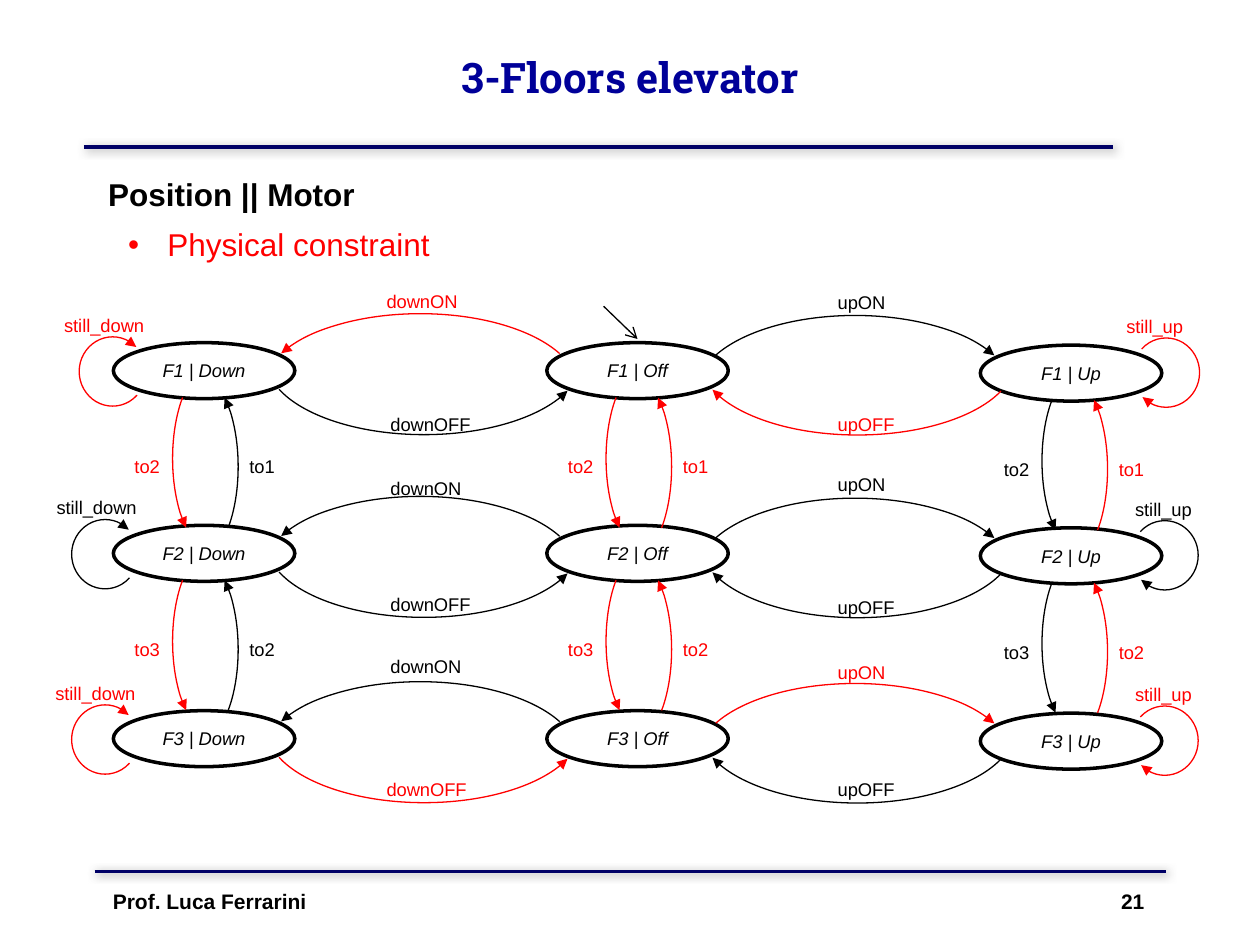
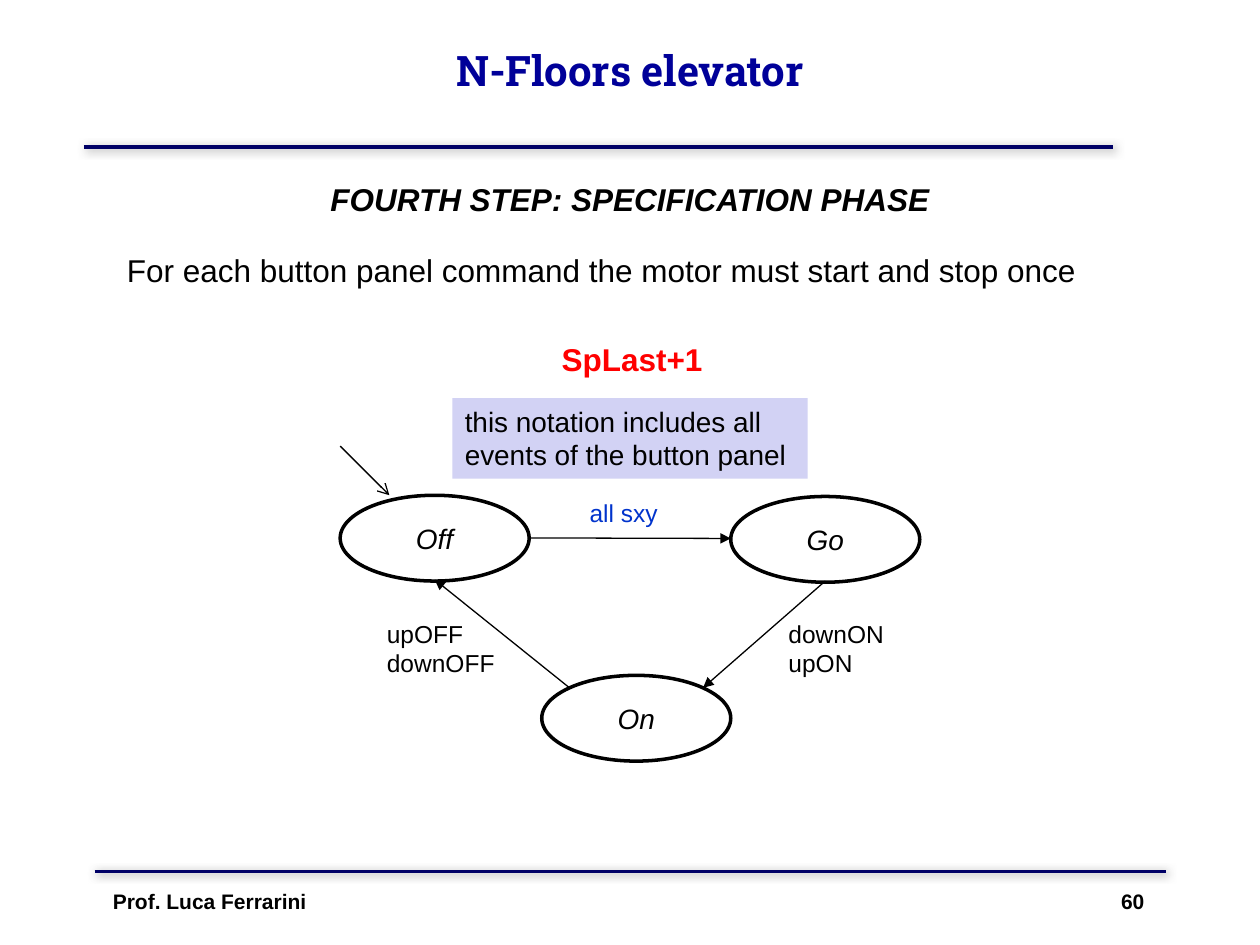
from lxml import etree
from pptx import Presentation
from pptx.dml.color import RGBColor
from pptx.enum import shapes, text
from pptx.oxml import ns
from pptx.util import Pt

COLOURS = {
    "black": "000000", "white": "FFFFFF", "red": "FF0000", "blue": "0033CC",
    "title": "000099", "rule": "000066", "callout": "D2D2F4", "shadow": "808080",
}
AUTHOR = "Prof. Luca Ferrarini"
CENTER = text.PP_ALIGN.CENTER
RIGHT = text.PP_ALIGN.RIGHT

# Grid of the 3-floor diagram: one column per motor state, one row per floor
MOTOR_STATES = ["Down", "Off", "Up"]
COLUMN_LEFTS = [64.8, 312.5, 560.2]
COLUMN_DROPS = [0, 0, 1.4]
ROW_TOPS = [195.8, 300.2, 406.1]
STATE_SIZE = (103.7, 32)

# Arc angles are in degrees, clockwise from three o'clock
UPPER_ARC = (194.5, 345.65)
LOWER_ARC = (12.43, 168.21)
FLOOR_ARC = (288.93, 66.01)
LOOP_ARC = (136, 45.99)


def colour(name):
    return RGBColor.from_string(COLOURS[name])


def red_if(condition):
    return "red" if condition else "black"


def add_xml(parent, tag, **attributes):
    child = etree.SubElement(parent, ns.qn(tag))
    for name, value in attributes.items():
        child.set(name, str(value))
    return child


def style_line(shape, name, width, start=None, end=None):
    """Set line colour and width, with optional arrowheads at start and end."""
    shape.line.color.rgb = colour(name)
    shape.line.width = Pt(width)
    properties = shape.line._get_or_add_ln()
    if start:
        add_xml(properties, "a:headEnd", type=start)
    if end:
        add_xml(properties, "a:tailEnd", type=end)


def write(frame, lines, size, name="black", bold=False, italic=False,
          align=None, font="Arial", spacing=None, bullet=False):
    frame.word_wrap = True
    for index, line in enumerate(lines):
        para = frame.paragraphs[0] if index == 0 else frame.add_paragraph()
        if bullet:
            properties = para._p.get_or_add_pPr()
            properties.set("marL", str(Pt(22.3)))
            properties.set("indent", str(-Pt(22.3)))
            add_xml(properties, "a:buFont", typeface="Arial")
            add_xml(properties, "a:buChar", char="•")
        if align is not None:
            para.alignment = align
        if spacing:
            para.line_spacing = spacing
        span = para.add_run()
        span.text = line
        span.font.name = font
        span.font.size = Pt(size)
        span.font.bold = bold
        span.font.italic = italic
        span.font.color.rgb = colour(name)


def add_text(page, left, top, width, height, lines, size, **style):
    box = page.shapes.add_textbox(Pt(left), Pt(top), Pt(width), Pt(height))
    write(box.text_frame, lines, size, **style)
    return box


def add_label(page, left, top, caption, name, width=60):
    add_text(page, left, top, width, 20, [caption], 10.5, name=name)


def add_line(page, start, end, name="black", width=0.75, head=None, shadow=False):
    line = page.shapes.add_connector(
        shapes.MSO_CONNECTOR.STRAIGHT, *(Pt(value) for value in start + end))
    style_line(line, name, width, end=head)
    effects = add_xml(line._element.spPr, "a:effectLst")
    if shadow:
        outer = add_xml(effects, "a:outerShdw", blurRad=Pt(5), dist=Pt(1.4),
                        dir=45 * 60000, algn="ctr", rotWithShape=0)
        shade = add_xml(outer, "a:srgbClr", val=COLOURS["shadow"])
        add_xml(shade, "a:alpha", val=75000)


def add_state(page, left, top, size, caption, font_size):
    state = page.shapes.add_shape(
        shapes.MSO_SHAPE.OVAL, Pt(left), Pt(top), Pt(size[0]), Pt(size[1]))
    state.shadow.inherit = False
    state.fill.solid()
    state.fill.fore_color.rgb = colour("white")
    style_line(state, "black", 2)
    state.text_frame.vertical_anchor = text.MSO_ANCHOR.MIDDLE
    write(state.text_frame, [caption], font_size, italic=True, align=CENTER)


def add_arc(page, left, top, size, angles, name, arrow_at_start=True,
            rotation=0, flipped=False):
    arc = page.shapes.add_shape(
        shapes.MSO_SHAPE.ARC, Pt(left), Pt(top), Pt(size[0]), Pt(size[1]))
    arc.shadow.inherit = False
    arc.fill.background()
    for index, angle in enumerate(angles):
        arc.adjustments[index] = angle * 0.6  # 60000 units a degree, over 100000
    arc.rotation = rotation
    if flipped:
        arc._element.spPr.xfrm.set("flipH", "1")
    if arrow_at_start:
        style_line(arc, name, 0.75, start="triangle")
    else:
        style_line(arc, name, 0.75, end="triangle")


def add_page(deck, title, title_area, number):
    """Add a slide with its title, both rules and the footer."""
    page = deck.slides.add_slide(deck.slide_layouts[5])
    heading = page.shapes.title
    heading.left, heading.top, heading.width, heading.height = map(Pt, title_area)
    heading.text_frame.auto_size = text.MSO_AUTO_SIZE.NONE
    heading.text_frame.vertical_anchor = text.MSO_ANCHOR.MIDDLE
    write(heading.text_frame, [title], 24, name="title", bold=True,
          align=CENTER, font="Roboto Slab")
    add_line(page, (48, 84), (636, 84), "rule", 2.25, shadow=True)
    add_line(page, (54, 498), (666, 498), "rule", 2.25, shadow=True)
    add_text(page, 57.4, 504, 300, 36, [AUTHOR], 12, bold=True)
    add_text(page, 561, 504, 100, 36, [str(number)], 12, bold=True, align=RIGHT)
    return page


def add_floor_changes(page, column, floor):
    """Arcs between a floor and the one below it, in one motor column."""
    left = COLUMN_LEFTS[column] + (1.4 if column == 2 else 0)
    top = ROW_TOPS[floor] + COLUMN_DROPS[column]
    downward, upward = red_if(column < 2), red_if(column > 0)
    size = (42.5, 102.2)
    add_arc(page, left + 28.8, top + 19.8, size, FLOOR_ARC, upward)
    add_arc(page, left + 33.8, top + 15.1, size, FLOOR_ARC, downward, rotation=180)
    add_label(page, left + 5, top + 61, f"to{floor + 2}", downward, 50)
    add_label(page, left + 70.6, top + 61, f"to{floor + 1}", upward, 42.5)


def add_motor_changes(page):
    """Arcs between the Off column and its neighbours, with their labels."""
    size = (180.7, 86.4)
    # event, arc angles, arc left, arc offset, label left, label tops, red floor
    changes = [
        ("downON", UPPER_ARC, 149.8, -16.5, 216, (162, 269.3, 370.8), 0),
        ("downOFF", LOWER_ARC, 151.9, -33.8, 216, (232.6, 335.5, 441.4), 2),
        ("upON", UPPER_ARC, 398.2, -15.5, 471.6, (162.7, 267.1, 374.4), 2),
        ("upOFF", LOWER_ARC, 399.6, -33.6, 471.6, (232.6, 337, 441.4), 0),
    ]
    for event, angles, left, offset, label_left, label_tops, red_floor in changes:
        to_left_side = event.startswith("down")
        for floor, row_top in enumerate(ROW_TOPS):
            name = red_if(floor == red_floor)
            nudge = -2.2 if to_left_side and name == "red" else 0
            add_arc(page, left, row_top + offset, size, angles, name, to_left_side)
            add_label(page, label_left + nudge, label_tops[floor], event, name, 62)


def add_self_loops(page):
    size = (39.6, 38.2)
    # event, rotation, loop lefts, loop offset, label lefts, label offset
    loops = [
        ("still_down", 270, (44.6, 40.3, 40.3), -2.6, (29.5, 25.2, 24.5), -20),
        ("still_up", 90, (646.6, 645.8, 645.8), -2, (636.5, 641.5, 641.5), -19),
    ]
    for event, rotation, lefts, offset, label_lefts, label_offset in loops:
        for floor, row_top in enumerate(ROW_TOPS):
            name = red_if(floor != 1)
            add_arc(page, lefts[floor], row_top + offset, size, LOOP_ARC, name,
                    rotation=rotation, flipped=True)
            add_label(page, label_lefts[floor], row_top + label_offset, event,
                      name, 70)


def build_three_floors(deck):
    page = add_page(deck, "3-Floors elevator", (54, -1.4, 612, 90), 21)
    add_text(page, 54.7, 96.5, 610.6, 29, ["Position || Motor"], 18, bold=True)
    add_text(page, 66.2, 125.3, 337, 29, ["Physical constraint"], 18, name="red",
             bullet=True)
    for column, motor in enumerate(MOTOR_STATES):
        for floor, row_top in enumerate(ROW_TOPS):
            add_state(page, COLUMN_LEFTS[column], row_top + COLUMN_DROPS[column],
                      STATE_SIZE, f"F{floor + 1} | {motor}", 10.5)
    for column in range(3):
        for floor in range(2):
            add_floor_changes(page, column, floor)
    add_motor_changes(page)
    add_self_loops(page)
    add_line(page, (344.9, 175), (364.3, 193.7), head="arrow")


def add_callout(page, left, top, width, height, caption):
    callout = page.shapes.add_shape(
        shapes.MSO_SHAPE.RECTANGLE, Pt(left), Pt(top), Pt(width), Pt(height))
    callout.shadow.inherit = False
    callout.fill.solid()
    callout.fill.fore_color.rgb = colour("callout")
    callout.line.fill.background()
    callout.text_frame.vertical_anchor = text.MSO_ANCHOR.TOP
    write(callout.text_frame, [caption], 16, align=text.PP_ALIGN.LEFT)


def build_n_floors(deck):
    page = add_page(deck, "N-Floors elevator", (66, -5, 588, 90), 60)
    add_text(page, 49, 99.4, 622, 29, ["FOURTH STEP: SPECIFICATION PHASE"], 18,
             bold=True, italic=True, align=CENTER)
    add_text(page, 65.5, 128.9, 588.2, 36,
             ["For each button panel command the motor must start and stop once"],
             18, spacing=1.5)
    add_text(page, 313.9, 190.8, 103.7, 29, ["SpLast+1"], 18, name="red", bold=True)
    add_callout(page, 258.5, 227.5, 203, 46,
                "this notation includes all events of the button panel")

    for caption, left, top in [("Off", 194.4, 283), ("Go", 417.6, 283.7),
                               ("On", 309.6, 385.9)]:
        add_state(page, left, top, (108, 49), caption, 16)
    add_line(page, (194.4, 254.9), (222.5, 283), head="arrow")
    for start, end in [((301.7, 307.4), (417.6, 307.7)),
                       ((471.6, 332), (401.8, 393)),
                       ((325.4, 393), (248.4, 331.2))]:
        add_line(page, start, end, head="triangle")
    add_text(page, 329.8, 280.8, 72, 24.5, ["all sxy"], 14, name="blue")
    add_text(page, 443.5, 350, 72, 41, ["downON", "upON"], 14)
    add_text(page, 214, 350, 83, 41, ["upOFF", "downOFF"], 14)


def main():
    deck = Presentation()
    deck.slide_width, deck.slide_height = Pt(720), Pt(540)
    build_three_floors(deck)
    build_n_floors(deck)
    deck.save("out.pptx")


if __name__ == "__main__":
    main()
